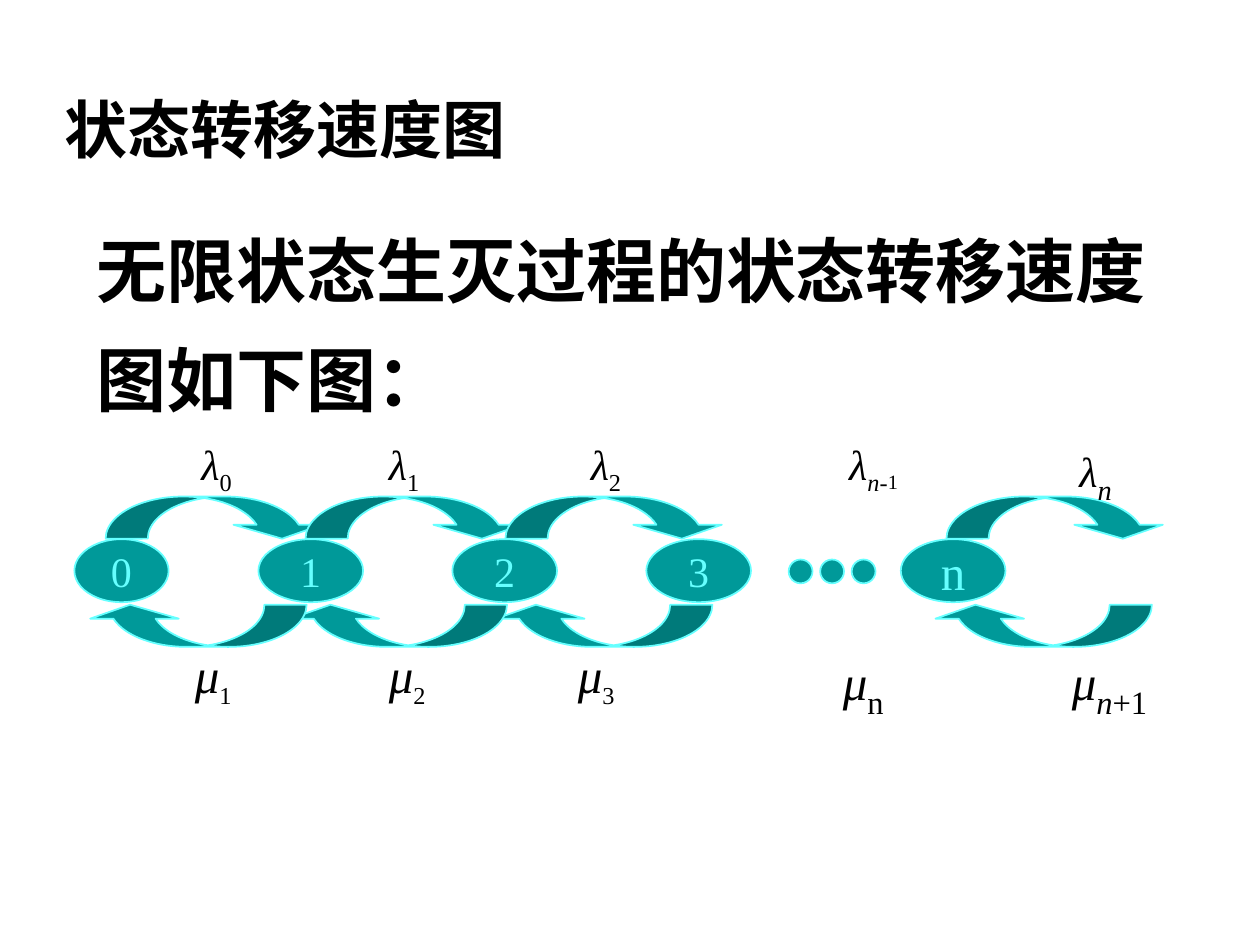
from pptx import Presentation
from pptx.dml.color import RGBColor
from pptx.enum.shapes import MSO_SHAPE as Preset
from pptx.enum.text import MSO_ANCHOR as Anchor, MSO_AUTO_SIZE as AutoSize, PP_ALIGN as Align
from pptx.util import Cm, Pt

COLORS = {"text": "000000", "state": "009999", "outline": "66FFFF"}
HEADING_FONT, SYMBOL_FONT = "Arial", "Times New Roman"

STATE_W, STATE_H = 2.11, 1.27
ARROW_W, ARROW_H = 4.45, 0.85
ARROW_ADJUST = (1.05, 2.1, 0.33)
DOT_SIZE, DOT_STEP = 0.48, 0.635

# State text, left, width, size
STATES = [("0", 0, 1.9, 24), ("n", 16.66, STATE_W, 28)] + [
    (str(i), 3.71 + 3.91 * (i - 1), STATE_W, 24) for i in (1, 2, 3)]
BIRTH_ARROWS = [0.63, 4.66, 8.69, 17.58]
DEATH_ARROWS = [17.27, 8.41, 4.27, 0.23]

# Left, width, height, wrap, symbol size, subscript runs (text, size, italic)
BIRTH_RATES = [
    (2.31, 1.12, 1.42, False, 24, [("0", 24, False)]),
    (6.09, 1.12, 1.42, False, 24, [("1", 24, False)]),
    (10.16, 1.12, 1.42, False, 24, [("2", 24, False)]),
    (15.37, 1.7, 1.42, True, 24, [("n", 24, True), ("-", 24, False), ("1", 20, False)]),
    (20.01, 1.7, 1.6, True, 24, [("n", 28, True)]),
]
DEATH_RATES = [
    (2.18, 1.24, 1.55, False, 28, [("1", 24, False)]),
    (6.09, 1.24, 1.55, False, 28, [("2", 24, False)]),
    (9.9, 1.78, 1.55, True, 28, [("3", 24, False)]),
    (15.24, 2.95, 1.8, True, 28, [("n", 32, False)]),
    (19.86, 2.3, 1.8, True, 28, [("n", 32, True), ("+1", 32, False)]),
]


def color(name):
    return RGBColor.from_string(COLORS[name])


def add_run(paragraph, text, size, font_name, fill="text", bold=False, italic=False):
    run = paragraph.add_run()
    run.text = text
    font = run.font
    font.size, font.name, font.bold, font.italic = Pt(size), font_name, bold, italic
    font.color.rgb = color(fill)
    return run


def add_part(slide, preset, left, top, width, height):
    part = slide.shapes.add_shape(preset, Cm(left), Cm(top), Cm(width), Cm(height))
    part.shadow.inherit = False
    part.fill.solid()
    part.fill.fore_color.rgb = color("state")
    part.line.color.rgb = color("outline")
    part.line.width = Pt(1)
    return part


def add_title(slide, left, top, width, height):
    title = slide.shapes.title
    title.left, title.top, title.width, title.height = map(Cm, (left, top, width, height))
    frame = title.text_frame
    frame.vertical_anchor = Anchor.MIDDLE
    frame.auto_size = AutoSize.NONE
    paragraph = frame.paragraphs[0]
    paragraph.alignment = Align.LEFT
    add_run(paragraph, "状态转移速度图", 36, HEADING_FONT, bold=True)


def add_statement(slide, left, top, width, height):
    frame = slide.shapes.add_textbox(Cm(left), Cm(top), Cm(width), Cm(height)).text_frame
    frame.word_wrap = True
    paragraph = frame.paragraphs[0]
    paragraph.line_spacing = 1.3
    add_run(paragraph, "无限状态生灭过程的状态转移速度图如下图：", 40, HEADING_FONT, bold=True)


def add_state(slide, left, top, width, text, size):
    frame = add_part(slide, Preset.OVAL, left, top, width, STATE_H).text_frame
    frame.word_wrap = False
    frame.vertical_anchor = Anchor.MIDDLE
    paragraph = frame.paragraphs[0]
    paragraph.alignment = Align.CENTER
    add_run(paragraph, text, size, SYMBOL_FONT, fill="outline")


def add_transition(slide, left, top, rotation=0):
    arrow = add_part(slide, Preset.CURVED_DOWN_ARROW, left, top, ARROW_W, ARROW_H)
    arrow.rotation = rotation
    for i, value in enumerate(ARROW_ADJUST):
        arrow.adjustments[i] = value


def add_rates(slide, left, top, symbol, rates):
    for x, width, height, wrap, size, subscripts in rates:
        frame = slide.shapes.add_textbox(Cm(left + x), Cm(top), Cm(width), Cm(height)).text_frame
        frame.word_wrap = wrap
        frame.auto_size = AutoSize.SHAPE_TO_FIT_TEXT
        paragraph = frame.paragraphs[0]
        add_run(paragraph, symbol, size, SYMBOL_FONT, italic=True)
        for text, sub_size, italic in subscripts:
            run = add_run(paragraph, text, sub_size, SYMBOL_FONT, italic=italic)
            run.font._element.set("baseline", "-25000")


def add_diagram(slide, left, top):
    # States
    for text, x, width, size in STATES:
        add_state(slide, left + x, top + 2.15, width, text, size)
    # Births, with their rates above
    for x in BIRTH_ARROWS:
        add_transition(slide, left + x, top + 1.29)
    add_rates(slide, left, top, "λ", BIRTH_RATES)
    # Omitted states
    for i in range(3):
        add_part(slide, Preset.OVAL, left + 14.4 + i * DOT_STEP, top + 2.56, DOT_SIZE, DOT_SIZE)
    # Deaths, with their rates below
    for x in DEATH_ARROWS:
        add_transition(slide, left + x, top + 3.47, rotation=180)
    add_rates(slide, left, top + 4.15, "μ", DEATH_RATES)


def main():
    deck = Presentation()
    deck.slide_width, deck.slide_height = Cm(25.4), Cm(19.05)
    slide = deck.slides.add_slide(deck.slide_layouts[5])
    add_title(slide, 1.04, 1.63, 22.66, 1.9)
    add_statement(slide, 1.7, 3.96, 22.6, 5.56)
    add_diagram(slide, 1.5, 8.72)
    deck.save("out.pptx")


if __name__ == "__main__":
    main()
